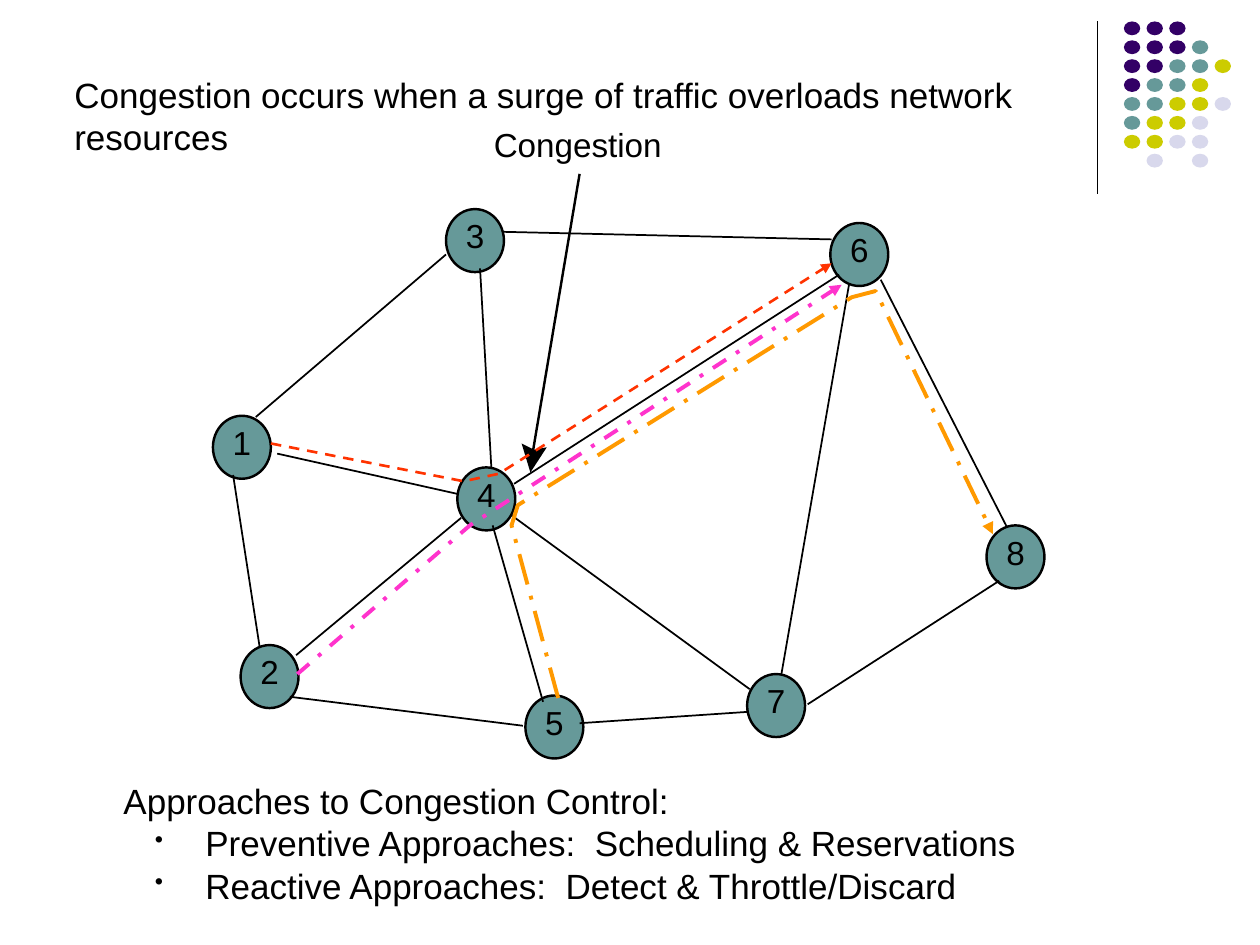
from lxml import etree
from pptx import Presentation
from pptx.dml.color import RGBColor
from pptx.enum.dml import MSO_LINE
from pptx.enum.shapes import MSO_CONNECTOR, MSO_SHAPE
from pptx.enum.text import MSO_ANCHOR, PP_ALIGN
from pptx.oxml.ns import qn
from pptx.util import Inches, Pt

STRAIGHT = MSO_CONNECTOR.STRAIGHT
OVAL = MSO_SHAPE.OVAL
CENTER = PP_ALIGN.CENTER
MIDDLE = MSO_ANCHOR.MIDDLE
DASH = MSO_LINE.DASH
DASH_DOT = MSO_LINE.DASH_DOT
LONG_DASH_DOT = MSO_LINE.LONG_DASH_DOT

BLACK = RGBColor(0x00, 0x00, 0x00)
TEAL = RGBColor(0x66, 0x99, 0x99)
PURPLE = RGBColor(0x33, 0x00, 0x66)
LIME = RGBColor(0xCC, 0xCC, 0x00)
LAVENDER = RGBColor(0xD8, 0xD8, 0xEC)
RED = RGBColor(0xFF, 0x33, 0x00)
PINK = RGBColor(0xFF, 0x33, 0xCC)
ORANGE = RGBColor(0xFF, 0x99, 0x00)

presentation = Presentation()
presentation.slide_width = Inches(10)
presentation.slide_height = Inches(7.5)
slide = presentation.slides.add_slide(presentation.slide_layouts[6])
shapes = slide.shapes


def add_line(start, end, width):
    line = shapes.add_connector(STRAIGHT, *map(Inches, start + end))
    line.line.color.rgb = BLACK
    line.line.width = Pt(width)
    etree.SubElement(line._element.spPr, qn("a:effectLst"))


def add_text(left, top, width, height, lines, size):
    """Add a text box without insets and return its paragraphs."""
    box = shapes.add_textbox(*map(Inches, (left, top, width, height)))
    frame = box.text_frame
    frame.word_wrap = True
    frame.margin_left = frame.margin_right = 0
    frame.margin_top = frame.margin_bottom = 0
    frame.text = "\n".join(lines)
    for paragraph in frame.paragraphs:
        paragraph.font.size = Pt(size)
        paragraph.font.name = "Arial"
        paragraph.font.color.rgb = BLACK
    return frame.paragraphs


# Corner decoration: a rule and a grid of dots, one letter per colour
add_line((8.71, 0.17), (8.71, 1.54), 0.75)
dot_colors = {"P": PURPLE, "T": TEAL, "L": LIME, "V": LAVENDER}
dot_rows = ["PPP", "PPPT", "PPTTL", "PTTL", "TTLLV", "TLLV", "LLVV", " V V"]
for row, letters in enumerate(dot_rows):
    for column, letter in enumerate(letters):
        if letter == " ":
            continue
        dot = shapes.add_shape(
            OVAL, Inches(8.92 + 0.18 * column), Inches(0.17 + 0.15 * row),
            Inches(0.13), Inches(0.11))
        dot.shadow.inherit = False
        dot.fill.solid()
        dot.fill.fore_color.rgb = dot_colors[letter]
        dot.line.fill.background()

# Network nodes
nodes = {
    "1": (1.69, 3.3), "2": (1.91, 5.12), "3": (3.54, 1.66), "4": (3.63, 3.71),
    "5": (4.17, 5.52), "6": (6.59, 1.77), "7": (5.93, 5.35), "8": (7.83, 4.17),
}
for label, (left, top) in nodes.items():
    node = shapes.add_shape(
        OVAL, Inches(left), Inches(top), Inches(0.46), Inches(0.5))
    node.shadow.inherit = False
    node.fill.solid()
    node.fill.fore_color.rgb = TEAL
    node.line.color.rgb = BLACK
    node.line.width = Pt(1.39)
    frame = node.text_frame
    frame.word_wrap = False
    frame.vertical_anchor = MIDDLE
    frame.margin_left = frame.margin_right = frame.margin_top = 0
    frame.margin_bottom = Inches(0.08)
    frame.text = label
    paragraph = frame.paragraphs[0]
    paragraph.alignment = CENTER
    paragraph.font.size = Pt(19)
    paragraph.font.name = "Arial"
    paragraph.font.color.rgb = BLACK

# Links between the nodes
links = [
    ((3.9, 3.72), (3.81, 2.13)), ((6.99, 2.22), (7.99, 4.18)),
    ((4.15, 5.76), (2.3, 5.53)), ((4.06, 4.09), (5.95, 5.47)),
    ((6.41, 5.59), (7.93, 4.61)), ((2.03, 3.31), (3.54, 2.02)),
    ((3.99, 1.84), (6.6, 1.9)), ((1.85, 3.77), (2.06, 5.13)),
    ((4.6, 5.74), (5.93, 5.65)), ((6.74, 2.25), (6.2, 5.36)),
    ((2.2, 3.6), (3.63, 3.92)), ((3.66, 4.11), (2.35, 5.2)),
    ((4.08, 3.84), (6.66, 2.18)), ((3.91, 4.17), (4.31, 5.57)),
]
for start, end in links:
    add_line(start, end, 1)

# Congestion pointer with its barbed head
add_text(3.88, 0.99, 1.41, 0.32, ["Congestion"], 19)[0].alignment = CENTER
add_line((4.6, 1.38), (4.23, 3.58), 1.39)
barb = [(4.14, 3.52), (4.24, 3.57), (4.34, 3.55), (4.21, 3.75)]
corners = [(Inches(x), Inches(y)) for x, y in barb]
builder = shapes.build_freeform(*corners[0])
builder.add_line_segments(corners[1:])
pointer_head = builder.convert_to_shape()
pointer_head.shadow.inherit = False
pointer_head.fill.solid()
pointer_head.fill.fore_color.rgb = BLACK
pointer_head.line.fill.background()

# Traffic flows
flows = [
    (RED, 1.5, DASH,
     [(2.15, 3.52), (3.68, 3.82), (3.96, 3.76), (6.6, 2.09)]),
    (PINK, 2.25, DASH_DOT,
     [(2.36, 5.35), (3.73, 4.17), (4.1, 3.93), (6.68, 2.26)]),
    (ORANGE, 2.25, LONG_DASH_DOT,
     [(4.43, 5.54), (4.06, 4.17), (4.11, 4.01), (6.76, 2.36), (6.95, 2.31),
      (7.88, 4.24)]),
]
for color, width, dash, route in flows:
    points = [(Inches(x), Inches(y)) for x, y in route]
    builder = shapes.build_freeform(*points[0])
    builder.add_line_segments(points[1:], close=False)
    flow = builder.convert_to_shape()
    flow.shadow.inherit = False
    flow.fill.background()
    flow.line.color.rgb = color
    flow.line.width = Pt(width)
    flow.line.dash_style = dash
    outline = flow._element.spPr.find(qn("a:ln"))
    etree.SubElement(outline, qn("a:tailEnd"), type="triangle")

# Heading and approaches
add_text(0.59, 0.58, 7.73, 0.67, [
    "Congestion occurs when a surge of traffic overloads network resources",
], 20)
approaches = add_text(0.98, 6.19, 7.37, 1, [
    "Approaches to Congestion Control:",
    "Preventive Approaches:  Scheduling & Reservations",
    "Reactive Approaches:  Detect & Throttle/Discard",
], 20)
for paragraph in approaches[1:]:
    properties = paragraph._p.get_or_add_pPr()
    properties.set("marL", str(Inches(0.65)))
    properties.set("indent", str(Inches(-0.4)))
    bullet_size = etree.Element(qn("a:buSzPct"), val="70000")
    bullet = etree.Element(qn("a:buChar"), char="•")
    properties.insert(0, bullet_size)
    properties.insert(1, bullet)

presentation.save("out.pptx")
